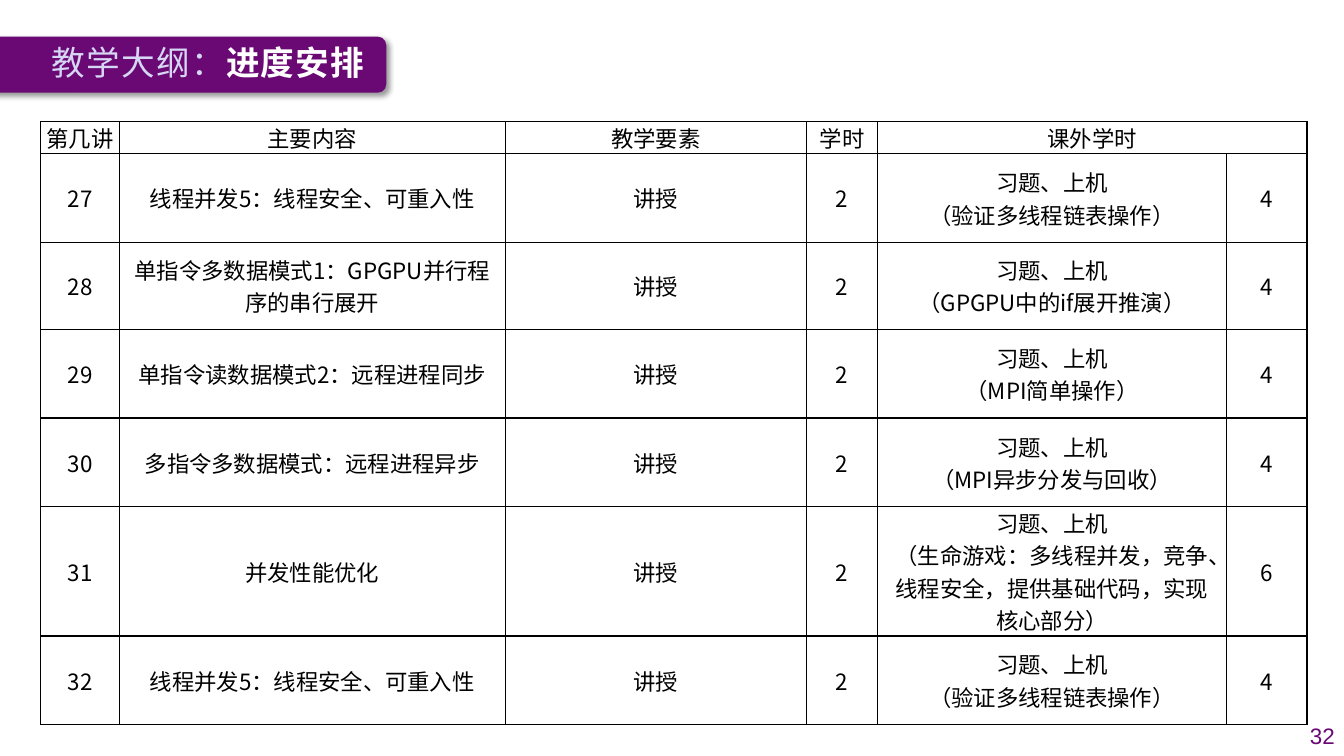
from lxml.etree import SubElement
from pptx import Presentation
from pptx.dml.color import RGBColor
from pptx.enum.shapes import MSO_SHAPE
from pptx.enum.text import MSO_ANCHOR, MSO_AUTO_SIZE, PP_ALIGN
from pptx.oxml import parse_xml
from pptx.oxml.ns import nsdecls, qn
from pptx.util import Pt

HAN = "Noto Sans CJK SC"
PURPLE = "6A0874"
HEAD = ["第几讲", "主要内容", "教学要素", "学时", "课外学时", ""]
PLAN = [
    ("线程并发5：线程安全、可重入性", "验证多线程链表操作", 4),
    ("单指令多数据模式1：GPGPU并行程序的串行展开", "GPGPU中的if展开推演", 4),
    ("单指令读数据模式2：远程进程同步", "MPI简单操作", 4),
    ("多指令多数据模式：远程进程异步", "MPI异步分发与回收", 4),
    ("并发性能优化",
     "生命游戏：多线程并发，竞争、线程安全，提供基础代码，实现核心部分", 6),
    ("线程并发5：线程安全、可重入性", "验证多线程链表操作", 4),
]
COLS = [56, 275.8, 215, 51, 249, 57.6]
ROWS = [21, 63.4, 62, 63.4, 63.4, 85, 63.4]


def color(text):
    """Turn a hex string into a colour."""
    return RGBColor.from_string(text)


def style(run, size, tint, face=HAN, bold=False):
    """Format one run, for Latin and Chinese letters alike."""
    font = run.font
    font.size, font.name, font.bold = Pt(size), face, bold
    font.color.rgb = color(tint)
    SubElement(run._r.get_or_add_rPr(), qn("a:ea"), typeface=face)


def banner(slide, left, top, width, height):
    """Place the title on its purple tab, which runs in from the left edge."""
    lead = 86
    tab = slide.shapes.add_shape(MSO_SHAPE.ROUNDED_RECTANGLE, Pt(left - lead),
                                 Pt(top), Pt(width + lead), Pt(height))
    tab.adjustments[0] = 0.15
    tab.fill.solid()
    tab.fill.fore_color.rgb = color(PURPLE)
    tab.line.fill.background()
    tab.shadow.inherit = False
    tab._element.spPr.find(qn("a:effectLst")).append(parse_xml(
        f'<a:outerShdw {nsdecls("a")} blurRad="50800" dist="38100" dir="2700000"'
        ' algn="tl" rotWithShape="0"><a:srgbClr val="000000">'
        '<a:alpha val="40000"/></a:srgbClr></a:outerShdw>'))
    title = slide.shapes.title
    tab._element.addnext(title._element)
    title.left, title.top = Pt(left), Pt(top)
    title.width, title.height = Pt(width), Pt(height)
    frame = title.text_frame
    frame.auto_size = MSO_AUTO_SIZE.NONE
    frame.vertical_anchor = MSO_ANCHOR.TOP
    para = frame.paragraphs[0]
    para.alignment = PP_ALIGN.LEFT
    para.line_spacing = 1.0
    para.space_before = Pt(0)
    for text, tint, bold in (("教学大纲：", "D6D6F5", False),
                             ("进度安排", "FFFFFF", True)):
        run = para.add_run()
        run.text = text
        style(run, 24, tint, bold=bold)
        run._r.rPr.set("spc", "100")


def border(cell):
    """Draw a thin black line on each side of a cell."""
    props = cell._tc.get_or_add_tcPr()
    for side in "LRTB":
        props.append(parse_xml(
            f'<a:ln{side} {nsdecls("a")} w="12700"><a:solidFill>'
            f'<a:srgbClr val="000000"/></a:solidFill></a:ln{side}>'))


def fill(cell, text, inset, anchor):
    """Write and format the text of one cell."""
    border(cell)
    cell.fill.background()
    cell.margin_left = cell.margin_right = Pt(inset)
    cell.margin_top = cell.margin_bottom = Pt(0)
    cell.vertical_anchor = anchor
    cell.text_frame.text = text
    for para in cell.text_frame.paragraphs:
        para.alignment = PP_ALIGN.CENTER
        for run in para.runs:
            style(run, 16, "000000")


def schedule(slide, left, top):
    """Place the table of lectures."""
    rows = [HEAD] + [
        [str(num), topic, "讲授", "2", f"习题、上机\n（{task}）", str(hours)]
        for num, (topic, task, hours) in enumerate(PLAN, 27)]
    table = slide.shapes.add_table(len(ROWS), len(COLS), Pt(left), Pt(top),
                                   Pt(sum(COLS)), Pt(sum(ROWS))).table
    table.first_row = table.horz_banding = False
    for col, width in zip(table.columns, COLS):
        col.width = Pt(width)
    for row, height, texts in zip(table.rows, ROWS, rows):
        row.height = Pt(height)
        top_row = texts is HEAD
        for cell, text in zip(row.cells, texts):
            fill(cell, text, 0 if top_row else 6.5,
                 MSO_ANCHOR.TOP if top_row else MSO_ANCHOR.MIDDLE)
    table.cell(0, 4).merge(table.cell(0, 5))


def number(slide, left, top, width, height):
    """Place the page number."""
    box = slide.shapes.add_textbox(Pt(left), Pt(top), Pt(width), Pt(height))
    frame = box.text_frame
    frame.word_wrap = True
    frame.vertical_anchor = MSO_ANCHOR.MIDDLE
    frame.text = "32"
    para = frame.paragraphs[0]
    para.alignment = PP_ALIGN.RIGHT
    style(para.runs[0], 16, PURPLE, "Arial")


def main():
    """Build and save the slide."""
    deck = Presentation()
    deck.slide_width, deck.slide_height = Pt(960), Pt(540)
    slide = deck.slides.add_slide(deck.slide_layouts[5])
    banner(slide, 29.3, 26.2, 246.6, 40)
    schedule(slide, 29.2, 86.8)
    number(slide, 921, 511, 39.5, 29)
    deck.save("out.pptx")


if __name__ == "__main__":
    main()
